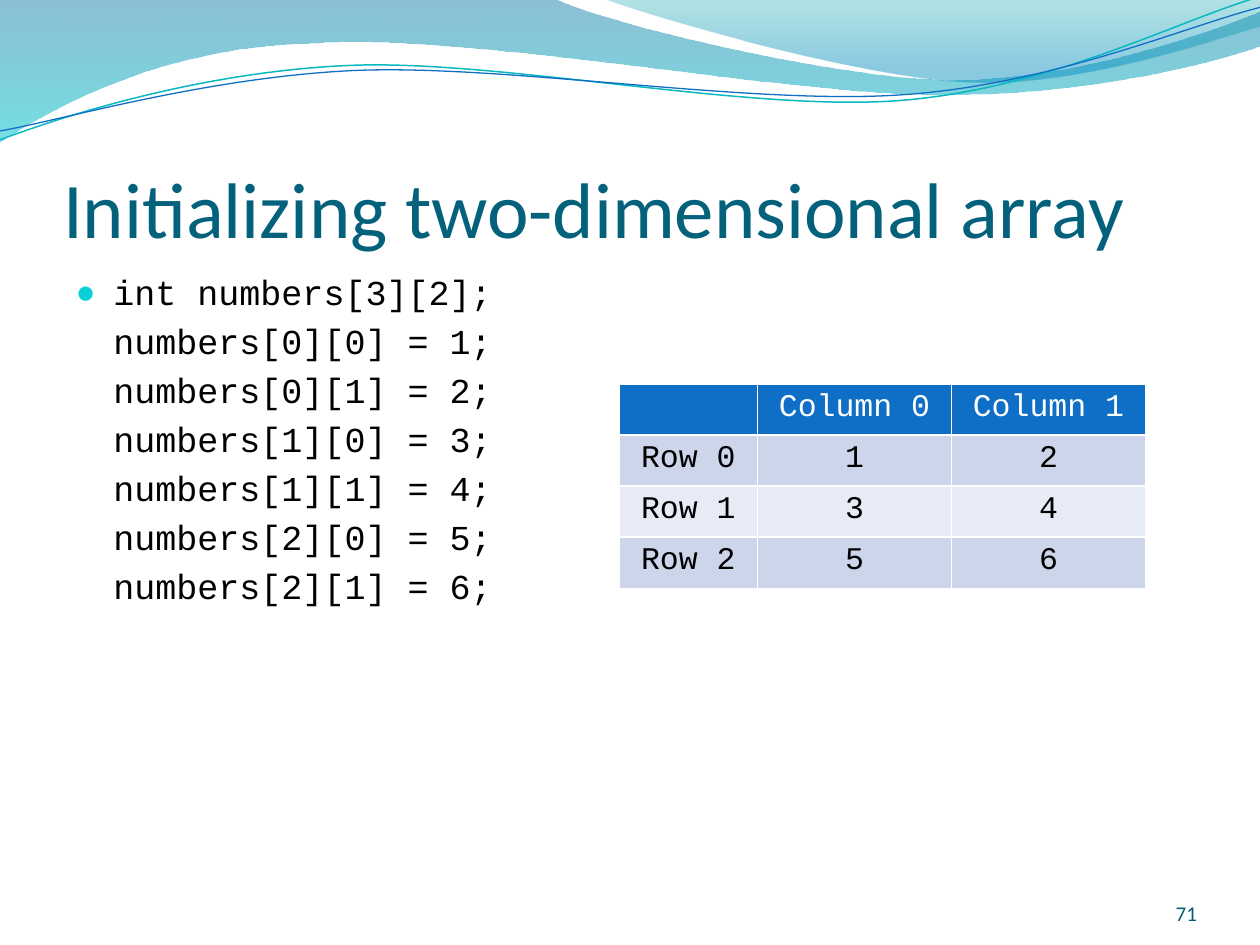
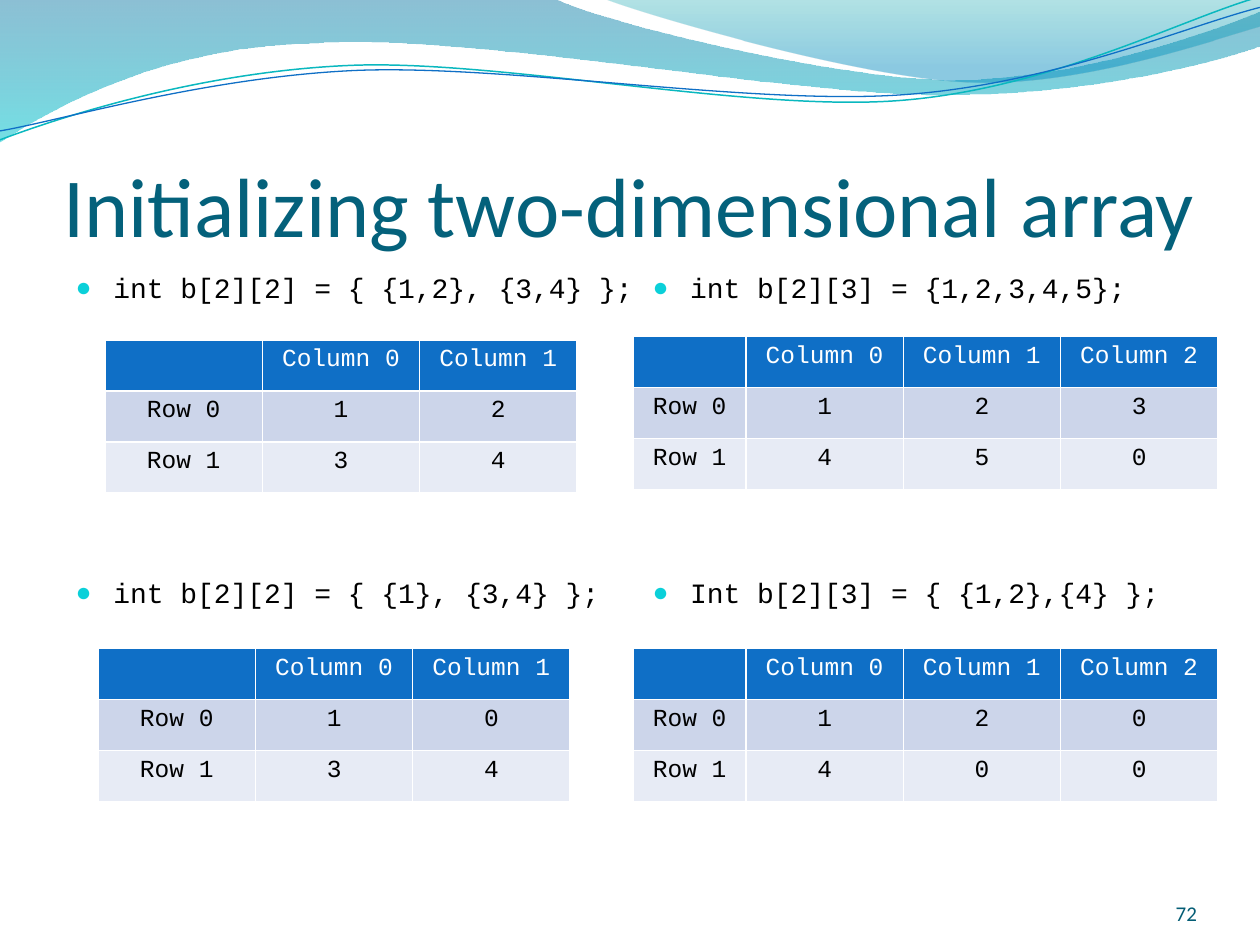
from lxml.etree import SubElement, fromstring
from pptx import Presentation
from pptx.dml.color import RGBColor as RGB
from pptx.enum.text import MSO_ANCHOR as Anchor, MSO_AUTO_SIZE as Fit, PP_ALIGN as Align
from pptx.oxml.ns import qn
from pptx.util import Cm, Pt

# Colours and fonts
NAVY = RGB(0x04, 0x61, 0x7B)
SLATE = RGB(0x04, 0x5D, 0x75)
AQUA = RGB(0x0B, 0xD0, 0xD9)
TEAL = RGB(0x0A, 0xB8, 0xBF)
BLUE = RGB(0x0F, 0x6F, 0xC6)
DARK = RGB(0xCC, 0xD5, 0xEA)
PALE = RGB(0xE7, 0xEB, 0xF5)
BLACK = RGB(0, 0, 0)
WHITE = RGB(255, 255, 255)
SANS, MONO = "Calibri", "Courier New"

# Waves in cm: a start, then steps; a step of one point is straight, of three a curve
BANDS = [
    ([(0, 0),
      [(11.18, -0.03)],
      [(12.09, 0.43), (16.87, 1.6), (19.25, 1.6)],
      [(21.67, 1.6), (24.33, 0.66), (25.4, 0.23)],
      [(25.43, 0.91)],
      [(24.97, 1.12), (22.1, 1.93), (18.95, 1.91)],
      [(15.8, 1.91), (9.7, 0.71), (6.53, 0.86)],
      [(3.28, 0.91), (1.17, 2.11), (-0.03, 2.87)]],
     [(0, RGB(0x00, 0x74, 0xA1), 45), (1, RGB(0x00, 0xC6, 0xCF), 55)]),
    ([(12.17, -0.03),
      [(12.93, 0.28), (17.32, 1.57), (19.53, 1.65)],
      [(21.74, 1.75), (24.41, 0.81), (25.4, 0.53)],
      [(25.4, 0)]],
     [(0, RGB(0x00, 0xA1, 0xA9), 30), (0.8, RGB(0x00, 0x8B, 0xBF), 45)]),
]
LINES = [
    ([(0, 2.82),
      [(1.22, 2.36), (4.01, 1.45), (7.04, 1.32)],
      [(10.03, 1.19), (15.06, 2.26), (18.11, 2.03)],
      [(21.16, 1.8), (23.83, 0.38), (25.35, -0.05)]], TEAL, 0.85),
    ([(0, 2.64),
      [(1.19, 2.44), (4.17, 1.55), (7.19, 1.42)],
      [(10.24, 1.3), (15.16, 2.13), (18.21, 1.91)],
      [(21.23, 1.7), (23.9, 0.53), (25.4, 0.15)]], BLUE, 0.75),
]

# Slides: layout, number, title size, lists, tables
# List: left, width, size, gap before lines, bullet count, lines
# Table: left, top, first width, other width, size, values
CODE = ["int numbers[3][2];"] + [
    f"numbers[{n // 2}][{n % 2}] = {n + 1};" for n in range(6)]
PAGES = [
    (1, 71, 45,
     [(1.27, 11.23, 20, 4, 1, CODE)],
     [(12.48, 7.74, 2.79, 3.91, 18, [(1, 2), (3, 4), (5, 6)])]),
    (3, 72, 48,
     [(1.27, 11.86, 16, 155, 2,
       ["int b[2][2] = { {1,2}, {3,4} };", "int b[2][2] = { {1}, {3,4} };"]),
      (12.9, 11.86, 16, 155, 2,
       ["int b[2][3] = {1,2,3,4,5};", "Int b[2][3] = { {1,2},{4} };"])],
     [(2.12, 6.85, 3.17, 3.17, 14, [(1, 2), (3, 4)]),
      (1.98, 13.07, 3.17, 3.17, 14, [(1, 0), (3, 4)]),
      (12.77, 6.78, 2.27, 3.17, 14, [(1, 2, 3), (4, 5, 0)]),
      (12.77, 13.07, 2.27, 3.17, 14, [(1, 2, 0), (4, 0, 0)])]),
]
ROW = 1.03
EDGE = ('<a:{0} xmlns:a="http://schemas.openxmlformats.org/drawingml/2006/main" w="12700">'
        '<a:solidFill><a:srgbClr val="{1}"/></a:solidFill></a:{0}>')


def style(par, face, size, tint, align=Align.LEFT):
    par.alignment = align
    for run in par.runs:
        run.font.name, run.font.size = face, Pt(size)
        run.font.color.rgb = tint


def trace(slide, route, close):
    start, *steps = route
    pen = slide.shapes.build_freeform(Cm(start[0]), Cm(start[1]))
    ends = [step[-1] for step in steps]
    pen.add_line_segments([(Cm(x), Cm(y)) for x, y in ends], close=close)
    wave = pen.convert_to_shape()
    wave.shadow.inherit = False
    # Bend the three-point steps
    for node, step in zip(list(wave.element.iter(qn("a:lnTo"))), steps):
        if len(step) == 3:
            bend = node.makeelement(qn("a:cubicBezTo"), {})
            for x, y in step:
                dot = SubElement(bend, qn("a:pt"))
                dot.set("x", str(Cm(x) - wave.left))
                dot.set("y", str(Cm(y) - wave.top))
            node.getparent().replace(node, bend)
    return wave


deck = Presentation()
deck.slide_width, deck.slide_height = Cm(25.4), Cm(19.05)
slides = [deck.slides.add_slide(deck.slide_layouts[page[0]]) for page in PAGES]

# Waves, drawn once and moved to the master
waves = []
for route, stops in BANDS:
    wave = trace(slides[0], route, True)
    wave.line.fill.background()
    wave.fill.gradient()
    wave.fill.gradient_angle = 270
    for stop, (place, tint, _) in zip(wave.fill.gradient_stops, stops):
        stop.position, stop.color.rgb = place, tint
    for node, stop in zip(wave.element.iter(qn("a:srgbClr")), stops):
        SubElement(node, qn("a:alpha")).set("val", str(stop[2] * 1000))
    waves.append(wave)
for route, tint, width in LINES:
    wave = trace(slides[0], route, False)
    wave.fill.background()
    wave.line.color.rgb, wave.line.width = tint, Pt(width)
    waves.append(wave)
for n, wave in enumerate(waves):
    next(wave.element.iter(qn("p:cNvPr"))).set("id", str(50 + n))
    deck.slide_master.shapes.element.insert(2 + n, wave.element)

for slide, (_, number, big, lists, tables) in zip(slides, PAGES):
    # Title
    title = slide.shapes.title
    title.left, title.top, title.width, title.height = Cm(1.27), Cm(1.95), Cm(22.86), Cm(3.17)
    frame = title.text_frame
    frame.text = "Initializing two-dimensional array"
    frame.auto_size, frame.vertical_anchor = Fit.NONE, Anchor.BOTTOM
    frame.margin_left = frame.margin_right = frame.margin_bottom = 0
    frame.margin_top = Cm(0.13)
    style(frame.paragraphs[0], SANS, big, NAVY)

    # Code lists
    for idx, (left, width, size, gap, marks, lines) in enumerate(lists, 1):
        body = slide.placeholders[idx]
        body.left, body.top, body.width, body.height = Cm(left), Cm(5.33), Cm(width), Cm(12.32)
        frame = body.text_frame
        frame.text = "\n".join(lines)
        frame.auto_size = Fit.NONE
        for n, par in enumerate(frame.paragraphs):
            props = par._p.get_or_add_pPr()
            props.set("marL", str(Cm(0.76)))
            props.set("indent", str(Cm(-0.76 if n < marks else 0)))
            if n < marks:
                SubElement(SubElement(props, qn("a:buClr")), qn("a:srgbClr")).set("val", str(AQUA))
                SubElement(props, qn("a:buSzPct")).set("val", "95000")
                SubElement(props, qn("a:buFont")).set("typeface", "Arial")
                SubElement(props, qn("a:buChar")).set("char", "●")
            else:
                SubElement(props, qn("a:buNone"))
            par.space_before = Pt(gap if n else 0)
            style(par, MONO, size, BLACK)

    # Array tables
    for left, top, first, other, size, values in tables:
        count = len(values[0])
        grid = [[""] + [f"Column {c}" for c in range(count)]]
        grid += [[f"Row {r}", *row] for r, row in enumerate(values)]
        holder = slide.shapes.add_table(len(grid), count + 1, Cm(left), Cm(top),
                                        Cm(first + count * other), Cm(ROW * len(grid)))
        table = holder.table
        for c, col in enumerate(table.columns):
            col.width = Cm(other if c else first)
        for r, row in enumerate(grid):
            table.rows[r].height = Cm(ROW)
            for c, value in enumerate(row):
                cell = table.cell(r, c)
                cell.text = str(value)
                cell.fill.solid()
                cell.fill.fore_color.rgb = (DARK if r % 2 else PALE) if r else BLUE
                style(cell.text_frame.paragraphs[0], MONO, size,
                      BLACK if r else WHITE, Align.CENTER)
        for props in holder.element.iter(qn("a:tcPr")):
            for n, side in enumerate(("lnL", "lnR", "lnT", "lnB")):
                props.insert(n, fromstring(EDGE.format(side, WHITE)))

    # Slide number
    frame = slide.shapes.add_textbox(Cm(22.02), Cm(17.65), Cm(2.11), Cm(1.02)).text_frame
    frame.word_wrap, frame.vertical_anchor = True, Anchor.BOTTOM
    frame.margin_left = frame.margin_top = frame.margin_right = frame.margin_bottom = 0
    frame.text = str(number)
    style(frame.paragraphs[0], SANS, 12, SLATE, Align.RIGHT)

deck.save("out.pptx")
